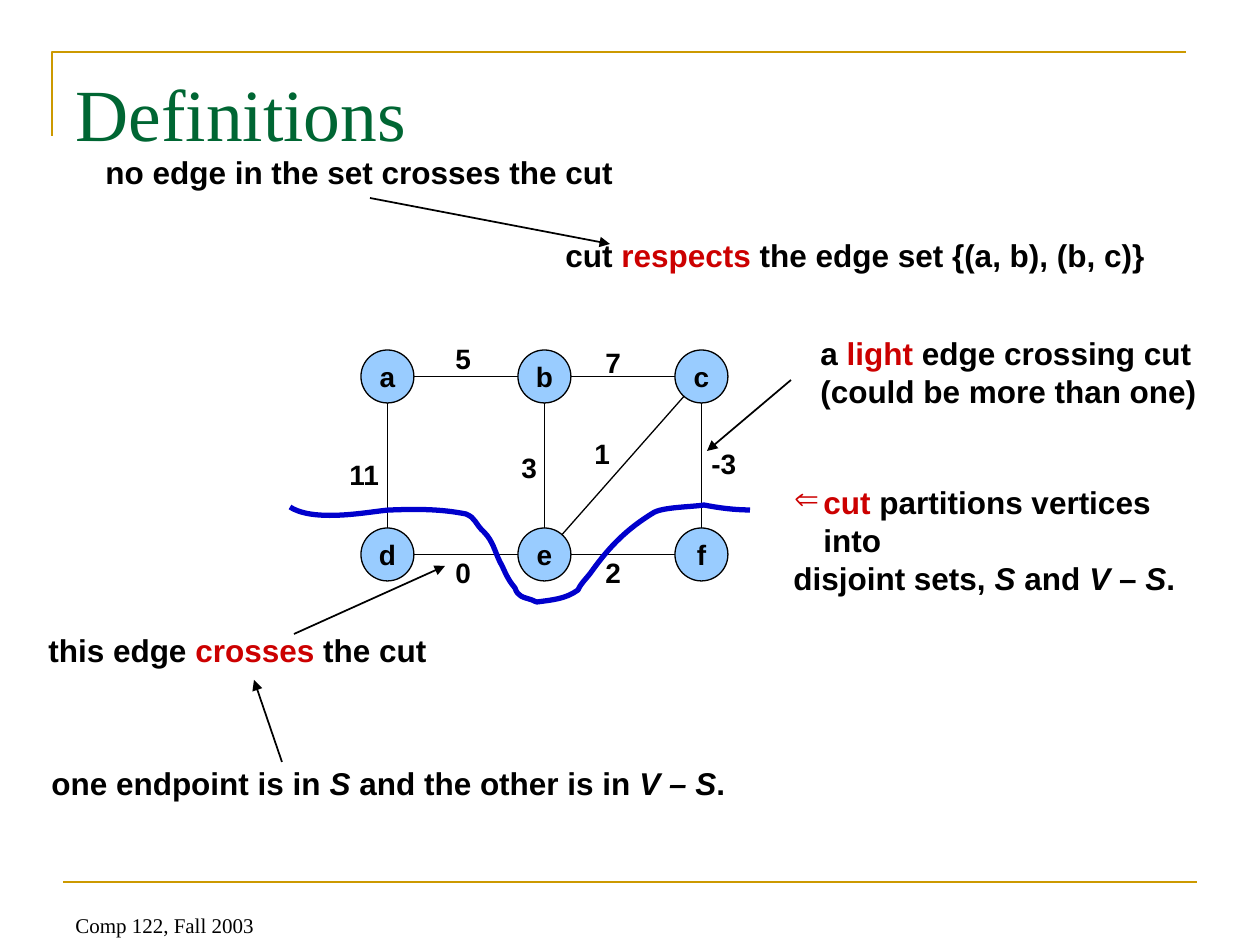
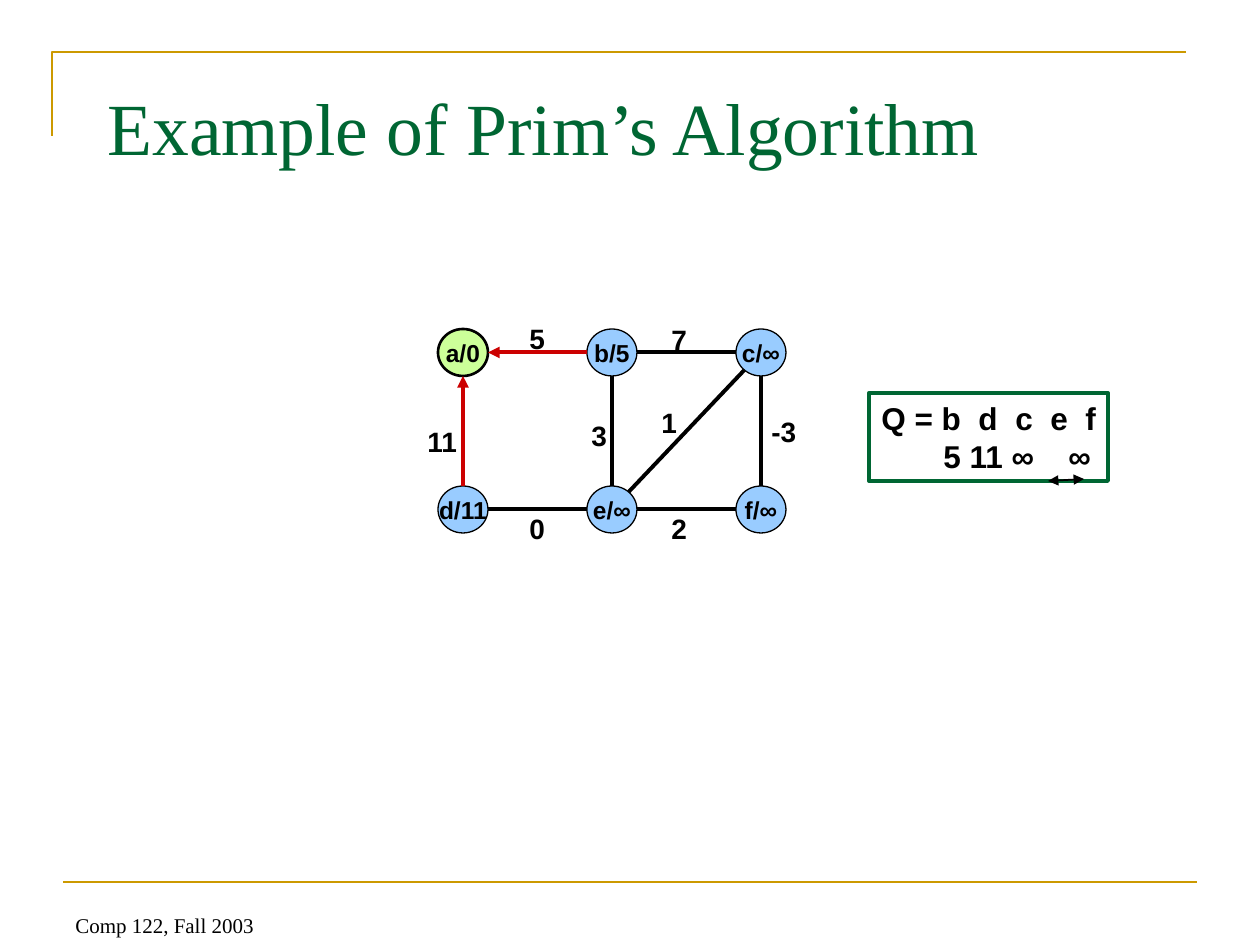
import math

import pptx
import pptx.dml.color
import pptx.enum.shapes
import pptx.enum.text
import pptx.oxml.ns
import pptx.util
from lxml import etree

RGBColor = pptx.dml.color.RGBColor
Shape = pptx.enum.shapes.MSO_SHAPE
Anchor = pptx.enum.text.MSO_ANCHOR
Align = pptx.enum.text.PP_ALIGN
AutoSize = pptx.enum.text.MSO_AUTO_SIZE
qn = pptx.oxml.ns.qn

PX = 914400 / 126
GOLD = RGBColor(0xCC, 0x99, 0x00)
GREEN = RGBColor(0x00, 0x66, 0x33)
RED = RGBColor(0xCC, 0x00, 0x00)
BLUE = RGBColor(0x00, 0x00, 0xCC)
SKY = RGBColor(0x99, 0xCC, 0xFF)
LIME = RGBColor(0xCC, 0xFF, 0x99)
BLACK = RGBColor(0x00, 0x00, 0x00)

SANS = {"name": "Arial", "bold": True}
SERIF = {"name": "Times New Roman", "bold": False}
ITALIC = {"italic": True}
RED_TEXT = {"color": RED}

WEIGHT_WIDTHS = {"11": 57, "-3": 54}
CUT_POINTS = [
    (290, 507),
    (316, 524), (377, 510), (391, 510),
    (417, 509), (441, 509), (466, 514),
    (476, 518), (475, 524), (484, 532),
    (493, 541), (495, 552), (500, 562),
    (503, 567), (505, 573), (508, 578),
    (510, 582), (515, 588), (515, 588),
    (518, 597), (523, 597), (532, 600),
    (533, 601), (537, 602), (537, 602),
    (552, 600), (566, 599), (578, 590),
    (581, 583), (588, 577), (592, 571),
    (610, 546), (627, 529), (653, 513),
    (662, 507), (692, 507), (704, 505),
    (719, 508), (735, 510), (750, 510),
]


def emu(*lengths):
    return [round(n * PX) for n in lengths]


def format_font(font, size, color=BLACK, **values):
    font.size = pptx.util.Pt(size)
    font.color.rgb = color
    for key, value in values.items():
        setattr(font, key, value)


def write(tf, paragraphs, size, align=Align.LEFT, **fmt):
    for i, runs in enumerate(paragraphs):
        p = tf.paragraphs[0] if i == 0 else tf.add_paragraph()
        p.alignment = align
        for run in runs:
            text, extra = run if isinstance(run, tuple) else (run, {})
            r = p.add_run()
            r.text = text
            format_font(r.font, size, **{**fmt, **extra})


def style_line(line, color, width):
    line.color.rgb = color
    line.width = pptx.util.Pt(width)


def add_text(s, box, paragraphs, size=18, wrap=False, anchor=Anchor.TOP, fmt=SANS):
    tf = s.shapes.add_textbox(*emu(*box)).text_frame
    tf.word_wrap = wrap
    tf.vertical_anchor = anchor
    tf.auto_size = AutoSize.NONE if wrap else AutoSize.SHAPE_TO_FIT_TEXT
    write(tf, paragraphs, size, **fmt)
    return tf


def add_line(s, start, end, color=BLACK, width=1, head=False, tail=False):
    c = s.shapes.add_connector(
        pptx.enum.shapes.MSO_CONNECTOR.STRAIGHT, *emu(*start, *end))
    style_line(c.line, color, width)
    ln = c.line._get_or_add_ln()
    for tag, wanted in (("a:headEnd", head), ("a:tailEnd", tail)):
        if wanted:
            etree.SubElement(ln, qn(tag), type="triangle")
    etree.SubElement(c._element.spPr, qn("a:effectLst"))


def add_outline(s, points, color, width):
    points = [emu(*point) for point in points]
    builder = s.shapes.build_freeform(*points[0])
    builder.add_line_segments(points[1:], close=False)
    sp = builder.convert_to_shape()
    sp.shadow.inherit = False
    sp.fill.background()
    style_line(sp.line, color, width)
    return sp


def add_curve(s, points, color, width):
    sp = add_outline(s, points, color, width)
    segments = list(sp._element.iter(qn("a:lnTo")))
    for i in range(0, len(segments), 3):
        curve = etree.Element(qn("a:cubicBezTo"))
        segments[i].addprevious(curve)
        for segment in segments[i:i + 3]:
            curve.append(segment[0])
            segment.getparent().remove(segment)


def add_slide(prs, title, box):
    s = prs.slides.add_slide(prs.slide_layouts[5])
    add_outline(s, [(52, 136), (52, 52), (1186, 52)], GOLD, 1.5)
    add_line(s, (63, 882), (1197, 882), GOLD, 1.5)
    add_text(s, (63, 881, 294, 63), [["Comp 122, Fall 2003"]], 12, True,
             Anchor.BOTTOM, SERIF)
    sp = s.shapes.title
    sp.left, sp.top, sp.width, sp.height = emu(*box)
    tf = sp.text_frame
    tf.vertical_anchor = Anchor.TOP
    tf.auto_size = AutoSize.NONE
    tf.margin_top = emu(9)[0]
    write(tf, [[title]], 42, color=GREEN, **SERIF)
    return s


def add_node(s, box, label, size, fill, width):
    sp = s.shapes.add_shape(Shape.OVAL, *emu(*box))
    sp.shadow.inherit = False
    sp.fill.solid()
    sp.fill.fore_color.rgb = fill
    style_line(sp.line, BLACK, width)
    tf = sp.text_frame
    tf.word_wrap = False
    tf.vertical_anchor = Anchor.MIDDLE
    write(tf, [[label]], size, Align.CENTER, **SANS)


def rim_point(center, target, w, h):
    dx, dy = target[0] - center[0], target[1] - center[1]
    t = 1 / math.hypot(2 * dx / w, 2 * dy / h)
    return center[0] + t * dx, center[1] + t * dy


def add_graph(s, origin, step, node_size, labels, font_size, edge_width,
              weights, root="", tree=()):
    w, h = node_size
    centers = {}
    for i, label in enumerate(labels):
        row, col = divmod(i, 3)
        x, y = origin[0] + col * step[0], origin[1] + row * step[1]
        name = label[0]
        centers[name] = (x + w / 2, y + h / 2)
        fill, width = (LIME, 1.5) if name == root else (SKY, 0.75)
        add_node(s, (x, y, w, h), label, font_size, fill, width)
    for a, b in ("da", "ba", "bc", "be", "cf", "de", "ef", "ec"):
        in_tree = a + b in tree
        add_line(s, rim_point(centers[a], centers[b], w, h),
                 rim_point(centers[b], centers[a], w, h),
                 RED if in_tree else BLACK, edge_width, tail=in_tree)
    for weight, (x, y) in weights.items():
        add_text(s, (x, y, WEIGHT_WIDTHS.get(weight, 40), 47), [[weight]], 16)


def add_bullet(p, char, color, indent):
    pPr = p._p.get_or_add_pPr()
    pPr.set("marL", str(indent))
    pPr.set("indent", str(-indent))
    clr = etree.SubElement(pPr, qn("a:buClr"))
    etree.SubElement(clr, qn("a:srgbClr"), val=str(color))
    etree.SubElement(pPr, qn("a:buChar"), char=char)


def add_tabs(p, stops):
    tabs = etree.SubElement(p._p.get_or_add_pPr(), qn("a:tabLst"))
    for pos in emu(*stops):
        etree.SubElement(tabs, qn("a:tab"), pos=str(pos), algn="l")


def add_queue(s, box, rows, stops):
    sp = s.shapes.add_shape(Shape.RECTANGLE, *emu(*box))
    sp.shadow.inherit = False
    sp.fill.background()
    style_line(sp.line, GREEN, 2.25)
    tf = sp.text_frame
    tf.word_wrap = True
    tf.vertical_anchor = Anchor.TOP
    tf.margin_right = 0
    write(tf, [[row] for row in rows], 18, **SANS)
    for p, row_stops in zip(tf.paragraphs, stops):
        add_tabs(p, row_stops)


def definitions(prs):
    s = add_slide(prs, "Definitions", (63, 59, 1134, 120))
    add_graph(s, (361, 350), (157, 178), (53, 53), "abcdef", 16, 0.75, {
        "5": (443, 335), "11": (337, 451), "0": (443, 549), "3": (509, 444),
        "1": (582, 430), "7": (593, 339), "-3": (699, 440), "2": (593, 549)})
    add_curve(s, CUT_POINTS, BLUE, 3)

    tf = add_text(s, (781, 477, 445, 88), [
        [("cut", RED_TEXT), " partitions vertices into"],
        ["disjoint sets, ", ("S", ITALIC), " and ", ("V", ITALIC), " – ",
         ("S", ITALIC), "."]], wrap=True)
    add_bullet(tf.paragraphs[0], "⇐", RED, emu(30)[0])

    notes = [
        ((36, 625, 403, 50), [["this edge ", ("crosses", RED_TEXT), " the cut"]]),
        ((808, 328, 401, 88), [["a ", ("light", RED_TEXT), " edge crossing cut"],
                               ["(could be more than one)"]]),
        ((553, 230, 605, 50), [["cut ", ("respects", RED_TEXT),
                                " the edge set {(a, b), (b, c)}"]]),
        ((39, 758, 699, 50), [["one endpoint is in ", ("S", ITALIC),
                               " and the other is in ", ("V – S", ITALIC), "."]]),
        ((93, 147, 533, 50), [["no edge in the set crosses the cut"]]),
    ]
    for box, paragraphs in notes:
        add_text(s, box, paragraphs)
    add_line(s, (455, 656), (455, 656), width=0.75)
    for start, end in [((294, 634), (445, 566)), ((791, 380), (707, 451)),
                       ((282, 762), (254, 680)), ((370, 198), (610, 244))]:
        add_line(s, start, end, tail=True)


def prim_example(prs):
    s = add_slide(prs, "Example of Prim’s Algorithm", (95, 73, 1071, 116))
    labels = ["a/0", "b/5", "c/∞", "d/11", "e/∞", "f/∞"]
    add_graph(s, (438, 329), (149, 157), (50, 47), labels, 14, 2.25, {
        "5": (517, 315), "11": (415, 418), "0": (517, 505), "3": (579, 412),
        "1": (649, 399), "7": (659, 316), "-3": (759, 408), "2": (659, 505)},
        root="a", tree=("da", "ba"))
    add_queue(s, (869, 393, 239, 88), ["Q = b\td\tc\te\tf", "\t5 11 ∞\t∞"],
              [(97, 134, 169, 204), (62, 187)])
    add_line(s, (1048, 481), (1084, 479), head=True, tail=True)


def main():
    prs = pptx.Presentation()
    prs.slide_width, prs.slide_height = emu(1260, 945)
    definitions(prs)
    prim_example(prs)
    prs.save("out.pptx")


if __name__ == "__main__":
    main()
